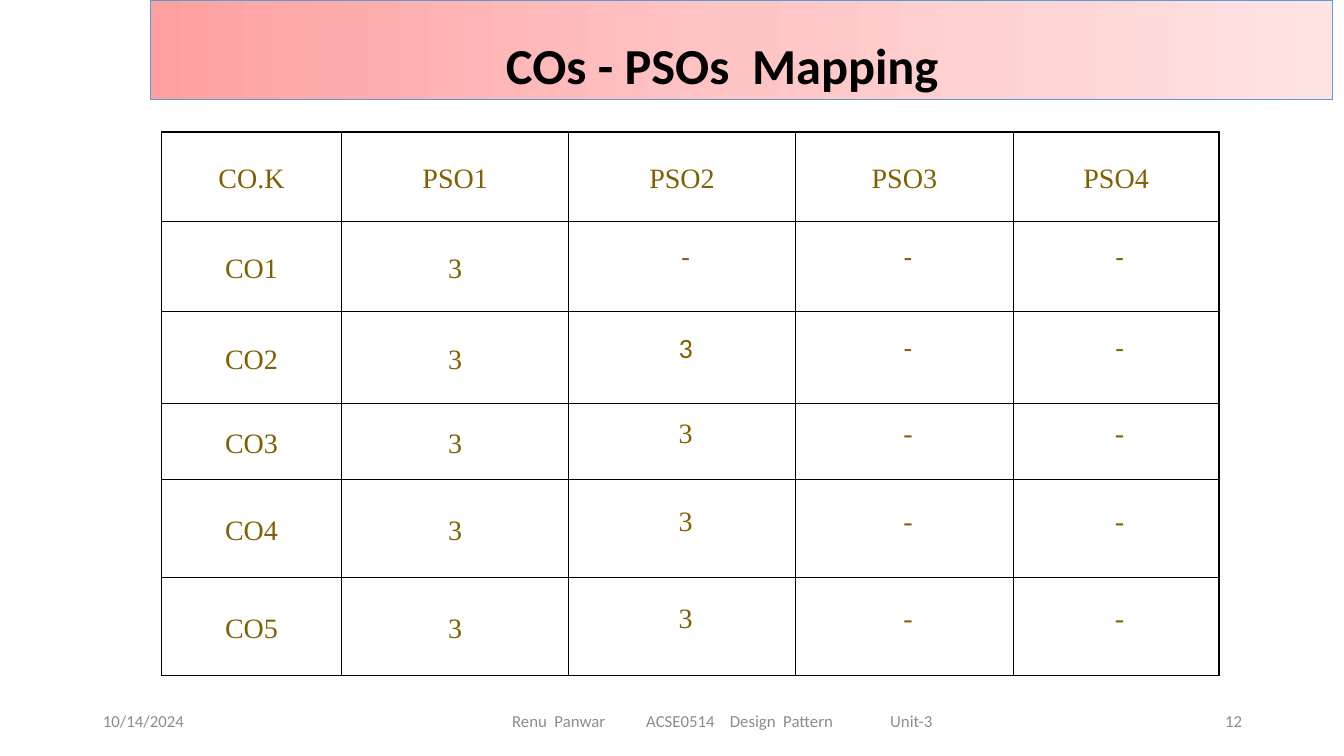
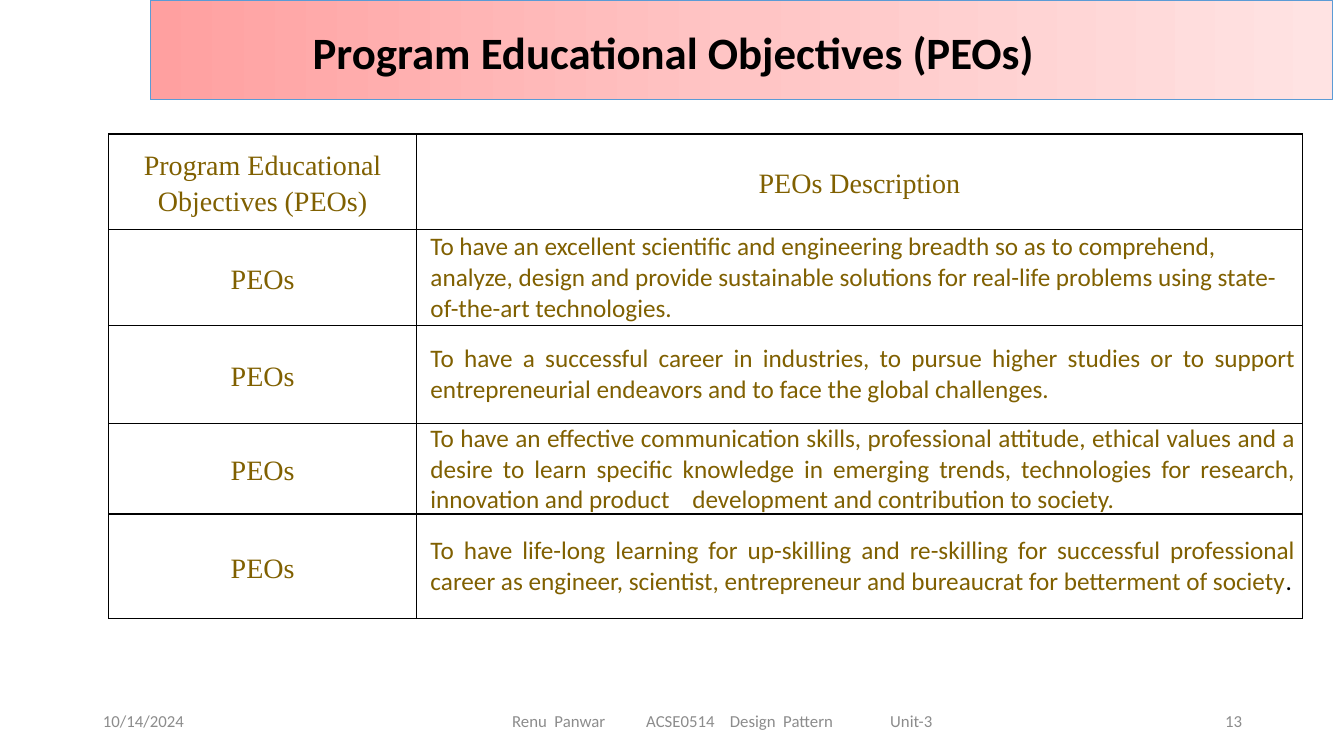
from copy import deepcopy

from lxml import etree
from pptx import Presentation
from pptx.dml.color import RGBColor
from pptx.enum.shapes import MSO_SHAPE, PP_PLACEHOLDER
from pptx.enum.text import MSO_ANCHOR, MSO_AUTO_SIZE, PP_ALIGN
from pptx.oxml.ns import qn
from pptx.util import Inches, Pt

RECTANGLE = MSO_SHAPE.RECTANGLE
TOP, MIDDLE = MSO_ANCHOR.TOP, MSO_ANCHOR.MIDDLE
LEFT, CENTER, RIGHT, JUSTIFY = PP_ALIGN.LEFT, PP_ALIGN.CENTER, PP_ALIGN.RIGHT, PP_ALIGN.JUSTIFY
GROW = MSO_AUTO_SIZE.SHAPE_TO_FIT_TEXT
DATE, FOOTER, NUMBER = PP_PLACEHOLDER.DATE, PP_PLACEHOLDER.FOOTER, PP_PLACEHOLDER.SLIDE_NUMBER

COLORS = {
    "paper": "FFFFFF",
    "ink": "000000",
    "gold": "806000",
    "muted": "8C8C8C",
    "band_line": "5B9BD5",
}
BAND_STOPS = {0: "FFA0A0", 50: "FFC5C5", 100: "FFE3E3"}
BAND_BOX = (1.49, 0, 11.73, 0.99)
SERIF, SANS = "Times New Roman", "Calibri"

TITLE = {"name": SANS, "bold": True, "color": "ink"}
SMALL = {"name": SANS, "size": Pt(12), "color": "muted"}
LABEL = {"name": SERIF, "size": Pt(20), "color": "gold"}
MARK = {**LABEL, "name": SANS}
PROSE = {"name": SANS, "size": Pt(18), "color": "gold"}
STOP = {**PROSE, "color": "ink"}

CELL_INSET, INDENTED_INSET = 0.07, 0.14
LABEL_PARA = {"alignment": CENTER, "line_spacing": 1.15}
MARK_PARA = {"alignment": CENTER, "line_spacing": Pt(12.3)}

FOOTER_PARTS = ("Renu  Panwar", "ACSE0514", "Design  Pattern", "Unit-3")
FOOTER_TABS = (1.33, 2.16, 3.75)
FOOTER_INSET = 0.66
FOOTER_BOXES = {
    DATE: (0.92, 6.95, 3, 0.4),
    FOOTER: (4.42, 6.95, 5.5, 0.4),
    NUMBER: (9.42, 6.95, 3, 0.4),
}

MAPPING_HEADS = ["CO.K", "PSO1", "PSO2", "PSO3", "PSO4"]
MAPPING_ROWS = [
    ("CO1", "3", "---", MARK),
    ("CO2", "3", "3--", MARK),
    ("CO3", "3", "3--", LABEL),
    ("CO4", "3", "3--", LABEL),
    ("CO5", "3", "3--", LABEL),
]
OBJECTIVE_HEADS = ["Program Educational Objectives (PEOs)", "PEOs Description"]
OBJECTIVES = [
    (LEFT, "To have an excellent scientific and engineering breadth so as to comprehend, "
     "analyze, design and provide sustainable solutions for real-life problems using "
     "state-of-the-art technologies.", ""),
    (JUSTIFY, "To have a successful career in industries, to pursue higher studies or to "
     "support entrepreneurial endeavors and to face the global challenges.", ""),
    (JUSTIFY, "To have an effective communication skills, professional attitude, ethical "
     "values and a desire to learn specific knowledge in emerging trends, technologies for "
     "research, innovation and product    development and contribution to society.", ""),
    (JUSTIFY, "To have life-long learning for up-skilling and re-skilling for successful "
     "professional career as engineer, scientist, entrepreneur and bureaucrat for "
     "betterment of society", "."),
]


def rgb(name):
    """Return the named colour."""
    return RGBColor.from_string(COLORS[name])


def apply(target, values):
    """Set each attribute of the target from a dict."""
    for name, value in values.items():
        setattr(target, name, value)


def place(shape, box):
    """Move a shape to a box given in inches."""
    apply(shape, dict(zip(("left", "top", "width", "height"), map(Inches, box))))


def add_span(para, text, style):
    """Append a formatted run to a paragraph."""
    span = para.add_run()
    span.text = text
    apply(span.font, {key: value for key, value in style.items() if key != "color"})
    span.font.color.rgb = rgb(style["color"])


def add_band(page, box):
    """Draw the gradient title band and share it through the page's layout."""
    band = page.shapes.add_shape(RECTANGLE, *map(Inches, box))
    band.shadow.inherit = False
    band.fill.gradient()
    band.fill.gradient_angle = 0
    stops = band.element.xpath(".//a:gsLst")[0]
    for stop in list(stops):
        stops.remove(stop)
    for percent, color in BAND_STOPS.items():
        stop = etree.SubElement(stops, qn("a:gs"), pos=str(percent * 1000))
        etree.SubElement(stop, qn("a:srgbClr"), val=color)
    band.line.color.rgb = rgb("band_line")
    band.line.width = Pt(0.5)
    band.element.xpath(".//p:cNvPr")[0].set("id", "50")
    page.slide_layout.shapes.element.insert(2, band.element)


def add_title(page, text, size, box):
    """Fill and place the title placeholder."""
    title = page.shapes.title
    place(title, box)
    frame = title.text_frame
    apply(frame, {"vertical_anchor": TOP, "word_wrap": True, "auto_size": GROW})
    para = frame.paragraphs[0]
    para.alignment = CENTER
    add_span(para, text, {**TITLE, "size": Pt(size)})


def add_footers(page, number):
    """Add the date, course line and page number placeholders."""
    contents = {
        DATE: ("10/14/2024", LEFT),
        FOOTER: ("\t".join(FOOTER_PARTS), LEFT),
        NUMBER: (str(number), RIGHT),
    }
    for holder in page.slide_layout.placeholders:
        if holder.placeholder_format.type in contents:
            page.shapes.element.append(deepcopy(holder.element))
    for holder in page.placeholders:
        kind = holder.placeholder_format.type
        if kind not in contents:
            continue
        text, alignment = contents[kind]
        place(holder, FOOTER_BOXES[kind])
        frame = holder.text_frame
        frame.clear()
        apply(frame, {"vertical_anchor": MIDDLE, "word_wrap": True})
        para = frame.paragraphs[0]
        para.alignment = alignment
        if kind == FOOTER:
            frame.margin_left = Inches(FOOTER_INSET)
            tabs = etree.SubElement(para._p.get_or_add_pPr(), qn("a:tabLst"))
            for position in FOOTER_TABS:
                etree.SubElement(tabs, qn("a:tab"), pos=str(Inches(position)), algn="l")
        add_span(para, text, SMALL)


def add_borders(cell):
    """Give a cell a thin line on all four sides."""
    properties = cell._tc.get_or_add_tcPr()
    for index, side in enumerate(("a:lnL", "a:lnR", "a:lnT", "a:lnB")):
        line = etree.Element(qn(side), w=str(Pt(1)))
        fill = etree.SubElement(line, qn("a:solidFill"))
        etree.SubElement(fill, qn("a:srgbClr"), val=COLORS["ink"])
        properties.insert(index, line)


def fill_cell(cell, spans, para_format, inset):
    """Write formatted spans into a bordered white cell."""
    cell.fill.solid()
    cell.fill.fore_color.rgb = rgb("paper")
    add_borders(cell)
    apply(cell, {
        "vertical_anchor": MIDDLE,
        "margin_left": Inches(inset),
        "margin_right": Inches(CELL_INSET),
        "margin_top": 0,
        "margin_bottom": 0,
    })
    para = cell.text_frame.paragraphs[0]
    apply(para, para_format)
    for text, style in spans:
        add_span(para, text, style)


def label(text):
    """Describe a centred serif cell."""
    return [(text, LABEL)], LABEL_PARA, CELL_INSET


def add_grid(page, left, top, widths, heights, rows):
    """Add a table whose cells are described row by row."""
    box = (left, top, sum(widths), sum(heights))
    grid = page.shapes.add_table(len(heights), len(widths), *map(Inches, box)).table
    apply(grid, {"first_row": False, "horz_banding": False})
    for column, width in zip(grid.columns, widths):
        column.width = Inches(width)
    for row, height, cells in zip(grid.rows, heights, rows):
        row.height = Inches(height)
        for cell, content in zip(row.cells, cells):
            fill_cell(cell, *content)


def build_mapping(page):
    """Build the outcome mapping slide."""
    add_title(page, "COs - PSOs  Mapping", 36, (3.83, 0.29, 6.67, 0.71))
    rows = [[label(head) for head in MAPPING_HEADS]]
    for outcome, first, marks, style in MAPPING_ROWS:
        cells = [([(mark, style)], MARK_PARA, INDENTED_INSET) for mark in marks]
        rows.append([label(outcome), label(first), *cells])
    add_grid(page, 1.6, 1.31, [1.79, 2.25, 2.25, 2.16, 2.04],
             [0.89, 0.89, 0.91, 0.76, 0.97, 0.97], rows)


def build_objectives(page):
    """Build the educational objectives slide."""
    add_title(page, "Program Educational Objectives (PEOs)", 32, (2.28, 0.19, 8.8, 0.64))
    rows = [[label(head) for head in OBJECTIVE_HEADS]]
    for alignment, text, ending in OBJECTIVES:
        spans = [(text, PROSE)] + ([(ending, STOP)] if ending else [])
        rows.append([label("PEOs"), (spans, {"alignment": alignment}, INDENTED_INSET)])
    add_grid(page, 1.08, 1.33, [3.05, 8.79], [0.95, 0.95, 0.97, 0.86, 1.04], rows)


def main():
    """Build and save the deck."""
    deck = Presentation()
    deck.slide_width, deck.slide_height = Inches(13.33), Inches(7.5)
    layout = deck.slide_layouts.get_by_name("Title Only")
    for number, build in enumerate((build_mapping, build_objectives), start=12):
        page = deck.slides.add_slide(layout)
        if number == 12:
            add_band(page, BAND_BOX)
        add_footers(page, number)
        build(page)
    deck.save("out.pptx")


if __name__ == "__main__":
    main()
